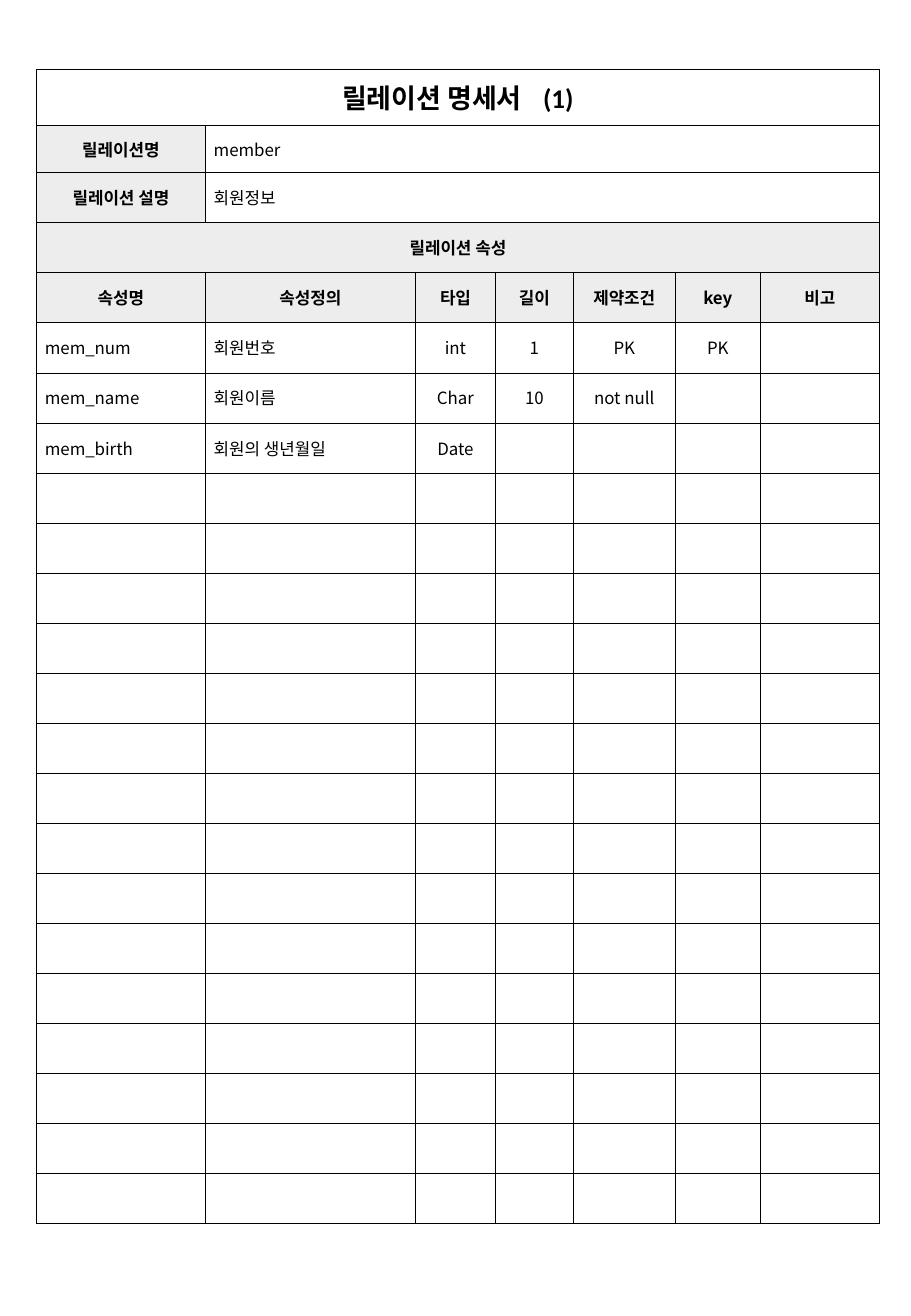
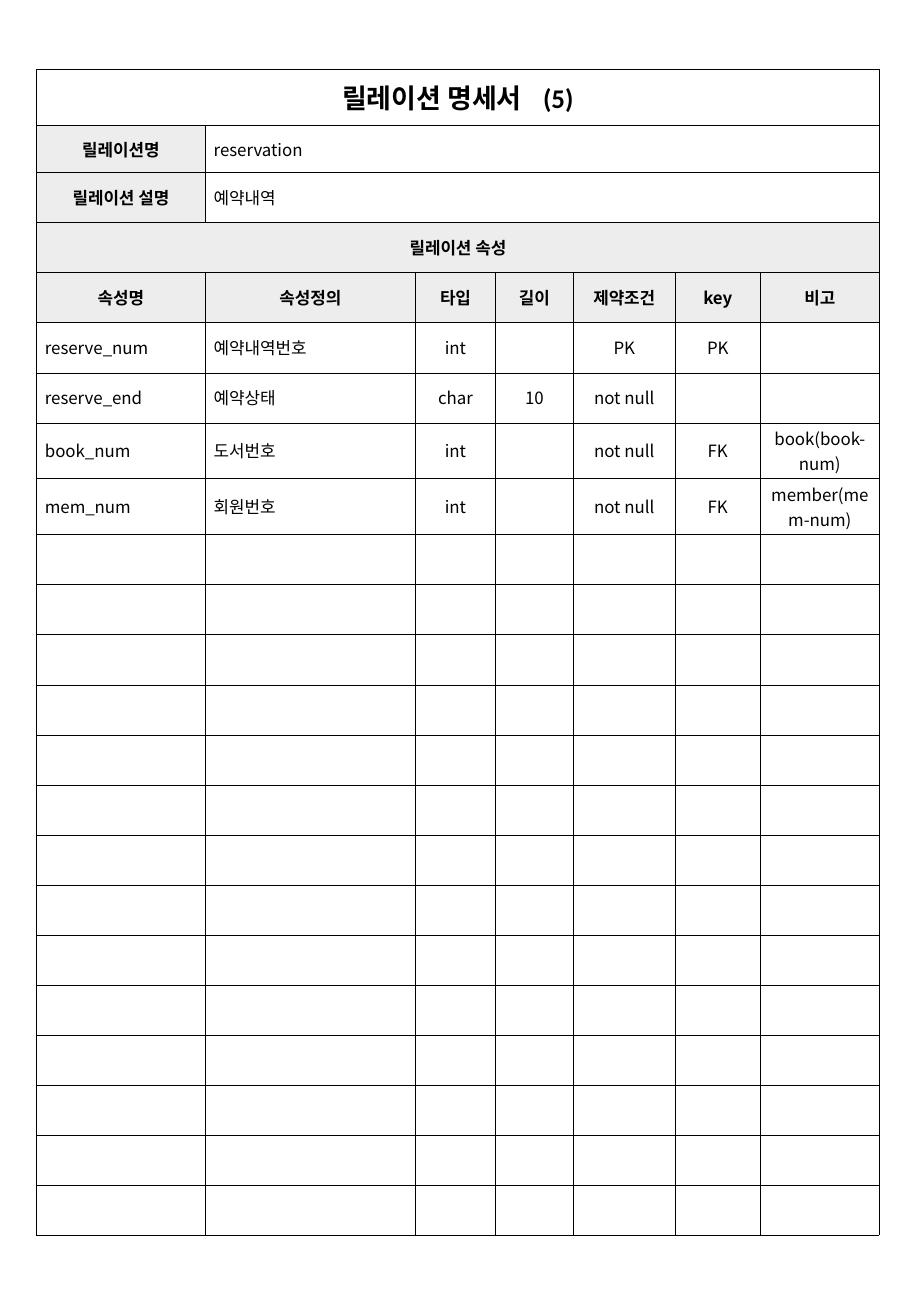
from lxml.etree import SubElement
from pptx import Presentation
from pptx.dml.color import RGBColor
from pptx.enum.text import MSO_ANCHOR, PP_ALIGN
from pptx.oxml.ns import qn
from pptx.util import Inches, Pt

COLORS = {"text": "000000", "line": "000000", "head": "EDEDED", "body": "FFFFFF"}
LATIN, KOREAN = "Calibri", "Noto Sans CJK KR"
COLS = [1.39, 1.73, 0.66, 0.64, 0.84, 0.7, 0.98]
TITLE_H, NAME_H, ROW_COUNT = 0.46, 0.39, 23
BOX = (0.3, 0.57, 6.94, 9.5)
HEADERS = ["속성명", "속성정의", "타입", "길이", "제약조건", "key", "비고"]

SPECS = [
    (1, "member", "회원정보", [
        ["mem_num", "회원번호", "int", "1", "PK", "PK", ""],
        ["mem_name", "회원이름", "Char", "10", "not null", "", ""],
        ["mem_birth", "회원의 생년월일", "Date", "", "", "", ""],
    ]),
    (5, "reservation", "예약내역", [
        ["reserve_num", "예약내역번호", "int", "", "PK", "PK", ""],
        ["reserve_end", "예약상태", "char", "10", "not null", "", ""],
        ["book_num", "도서번호", "int", "", "not null", "FK", "book(book-num)"],
        ["mem_num", "회원번호", "int", "", "not null", "FK", "member(mem-num)"],
    ]),
]


def set_borders(cell):
    """Draw a thin line on all four sides of a cell."""
    tcPr = cell._tc.get_or_add_tcPr()
    for i, side in enumerate(("lnL", "lnR", "lnT", "lnB")):
        ln = SubElement(tcPr, qn(f"a:{side}"), w=str(Pt(0.25)))
        fill = SubElement(ln, qn("a:solidFill"))
        SubElement(fill, qn("a:srgbClr"), val=COLORS["line"])
        tcPr.insert(i, ln)


def format_run(r, size=10, bold=False, font=KOREAN):
    """Set the size, weight, colour and fonts of a run."""
    r.font.size, r.font.bold, r.font.name = Pt(size), bold, font
    r.font.color.rgb = RGBColor.from_string(COLORS["text"])
    SubElement(r._r.get_or_add_rPr(), qn("a:ea"), typeface=KOREAN)


def fill_cell(cell, text="", head=False, center=False, font=KOREAN):
    """Write one form cell with its fill and borders."""
    cell.fill.solid()
    cell.fill.fore_color.rgb = RGBColor.from_string(COLORS["head" if head else "body"])
    set_borders(cell)
    cell.vertical_anchor = MSO_ANCHOR.MIDDLE
    cell.margin_left = cell.margin_right = Inches(0.07)
    cell.margin_top = cell.margin_bottom = Inches(0.03)
    p = cell.text_frame.paragraphs[0]
    p.alignment = PP_ALIGN.CENTER if head or center else PP_ALIGN.LEFT
    if text:
        p.text = text
        format_run(p.runs[0], bold=head, font=font)
    else:
        SubElement(p._p, qn("a:endParaRPr"), sz="1000")


def fill_title(cell, number):
    """Write the form title with a wide gap before its number."""
    p = cell.text_frame.paragraphs[0]
    p.alignment = PP_ALIGN.CENTER
    for el in p._p.findall(qn("a:endParaRPr")):
        p._p.remove(el)
    for text in ("릴레이션 명세서", " ", f"({number})"):
        r = p.add_run()
        r.text = text
        format_run(r, 16, True, LATIN)
    p.runs[1]._r.get_or_add_rPr().set("spc", "900")


def add_spec(slide, box, number, name, description, attributes):
    """Place one relation specification form in the given box."""
    x, y, w, h = box
    table = slide.shapes.add_table(ROW_COUNT, len(COLS), *map(Inches, box)).table
    table.first_row = table.horz_banding = False
    for col, width in zip(table.columns, COLS):
        col.width = Inches(width * w / sum(COLS))
    row_h = (h - TITLE_H - NAME_H) / (ROW_COUNT - 2)
    for row, height in zip(table.rows, [TITLE_H, NAME_H] + [row_h] * (ROW_COUNT - 2)):
        row.height = Inches(height)

    blank = [""] * len(COLS)
    grid = [blank,
            ["릴레이션명", name] + blank[2:],
            ["릴레이션 설명", description] + blank[2:],
            ["릴레이션 속성"] + blank[1:],
            HEADERS] + attributes
    grid += [blank] * (ROW_COUNT - len(grid))
    for i, row in enumerate(grid):
        for j, text in enumerate(row):
            head = i in (3, 4) or (i in (1, 2) and j == 0)
            font = LATIN if (i, j) == (2, 1) else KOREAN
            fill_cell(table.cell(i, j), text, head, i > 4 and j > 1, font)
    fill_title(table.cell(0, 0), number)
    last = len(COLS) - 1
    for i, first in ((0, 0), (1, 1), (2, 1), (3, 0)):
        table.cell(i, first).merge(table.cell(i, last))


def main():
    """Build the specification slides and save them."""
    prs = Presentation()
    prs.slide_width, prs.slide_height = Inches(7.5), Inches(10.83)
    for spec in SPECS:
        add_spec(prs.slides.add_slide(prs.slide_layouts[6]), BOX, *spec)
    prs.save("out.pptx")


if __name__ == "__main__":
    main()
